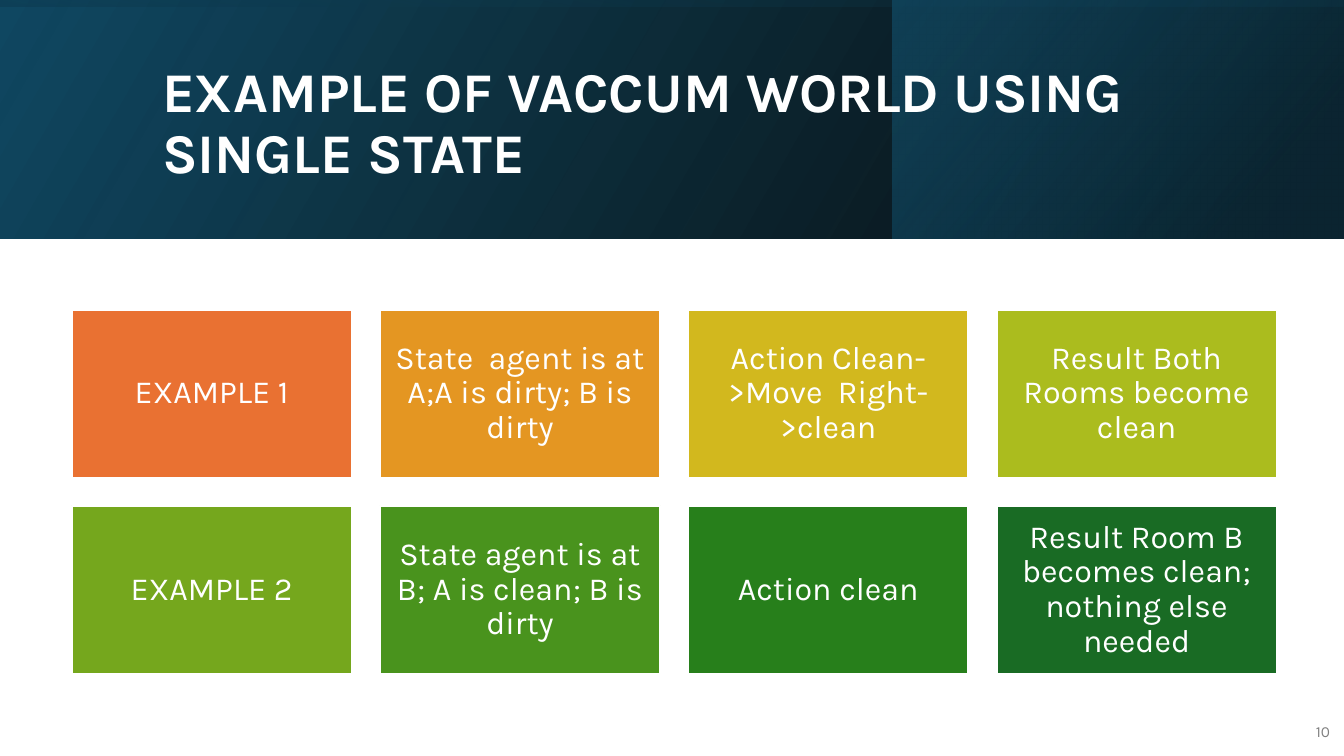
from lxml import etree
from pptx import Presentation
from pptx.dml.color import RGBColor
from pptx.enum.shapes import MSO_SHAPE
from pptx.enum.text import MSO_ANCHOR, PP_ALIGN
from pptx.oxml import parse_xml
from pptx.oxml.ns import nsdecls, qn
from pptx.util import Inches, Pt

RECTANGLE = MSO_SHAPE.RECTANGLE
MIDDLE = MSO_ANCHOR.MIDDLE
LEFT, CENTER, RIGHT = PP_ALIGN.LEFT, PP_ALIGN.CENTER, PP_ALIGN.RIGHT
WHITE = RGBColor(0xFF, 0xFF, 0xFF)
GRAY = RGBColor(0x80, 0x80, 0x80)
ORANGE = RGBColor(0xE9, 0x71, 0x32)
AMBER = RGBColor(0xE4, 0x96, 0x22)
YELLOW = RGBColor(0xD2, 0xB8, 0x1E)
LIME = RGBColor(0xAB, 0xBC, 0x1E)
OLIVE = RGBColor(0x75, 0xA7, 0x1D)
LEAF = RGBColor(0x49, 0x93, 0x1D)
GREEN = RGBColor(0x27, 0x7F, 0x1B)
FOREST = RGBColor(0x19, 0x6B, 0x24)
BLACK = RGBColor(0x00, 0x00, 0x00)
NAVY = RGBColor(0x10, 0x48, 0x62)
DEEP_NAVY = RGBColor(0x0B, 0x30, 0x41)
TEAL = RGBColor(0x15, 0x60, 0x82)

SLIDE_W, SLIDE_H = 13.33, 7.5
BANNER_H = 2.37
ACCENT_W = 4.48
CARD_W = 2.78
CARD_H = CARD_W * 0.6
GAP = CARD_W * 0.1
GRID_LEFT, GRID_TOP = 0.71, 3.07

prs = Presentation()
prs.slide_width, prs.slide_height = Inches(SLIDE_W), Inches(SLIDE_H)
slide = prs.slides.add_slide(prs.slide_layouts[6])


def add_box(left, top, width, height):
    box = slide.shapes.add_shape(
        RECTANGLE, Inches(left), Inches(top), Inches(width), Inches(height))
    box.shadow.inherit = False
    box.fill.background()
    box.line.fill.background()
    return box


def write(box, text, size, color, align, bold=False):
    frame = box.text_frame
    frame.word_wrap = True
    frame.vertical_anchor = MIDDLE
    frame.text = text
    paragraph = frame.paragraphs[0]
    paragraph.alignment = align
    font = paragraph.runs[0].font
    font.name, font.size, font.bold = "Karla", Pt(size), bold
    font.color.rgb = color
    return paragraph


banner_layers = [
    (0, 0, SLIDE_W, BANNER_H, 0, 330, [(0, BLACK, 96), (100, NAVY, 100)]),
    (SLIDE_W - ACCENT_W, 0, ACCENT_W, BANNER_H, 0, 320,
     [(19, DEEP_NAVY, 68), (100, TEAL, 48)]),
    ((SLIDE_W - BANNER_H) / 2, (BANNER_H - SLIDE_W) / 2, BANNER_H, SLIDE_W, 270, 350,
     [(23, NAVY, 16), (99, BLACK, 45)]),
]
for left, top, width, height, rotation, angle, stops in banner_layers:
    layer = add_box(left, top, width, height)
    layer.rotation = rotation
    properties = layer._element.spPr
    properties.find(qn("a:xfrm")).set("flipH", "1")
    gradient = parse_xml(f'<a:gradFill {nsdecls("a")} rotWithShape="1"><a:gsLst/></a:gradFill>')
    for position, color, opacity in stops:
        stop = etree.SubElement(gradient[0], qn("a:gs"), pos=str(position * 1000))
        tint = etree.SubElement(stop, qn("a:srgbClr"), val=str(color))
        etree.SubElement(tint, qn("a:alpha"), val=str(opacity * 1000))
    etree.SubElement(gradient, qn("a:lin"), ang=str(angle * 60000), scaled="0")
    properties.replace(properties.find(qn("a:noFill")), gradient)

title = slide.shapes.add_textbox(Inches(1.51), Inches(0.38), Inches(10.63), Inches(1.72))
heading = write(title, "EXAMPLE OF VACCUM WORLD USING SINGLE STATE", 40, WHITE, LEFT, True)
heading.line_spacing = 0.9

number = slide.shapes.add_textbox(Inches(12.8), Inches(7.06), Inches(0.49), Inches(0.4))
write(number, "10", 11, GRAY, RIGHT).space_after = Pt(6)

examples = [
    [("EXAMPLE 1", ORANGE),
     ("State  agent is at A;A is dirty; B is dirty", AMBER),
     ("Action Clean->Move  Right->clean", YELLOW),
     ("Result Both Rooms become clean", LIME)],
    [("EXAMPLE 2", OLIVE),
     ("State agent is at B; A is clean; B is dirty", LEAF),
     ("Action clean", GREEN),
     ("Result Room B becomes clean; nothing else needed", FOREST)],
]
for row, steps in enumerate(examples):
    for column, (text, color) in enumerate(steps):
        card = add_box(GRID_LEFT + column * (CARD_W + GAP),
                       GRID_TOP + row * (CARD_H + GAP), CARD_W, CARD_H)
        card.fill.solid()
        card.fill.fore_color.rgb = color
        card.line.color.rgb = WHITE
        card.line.width = Pt(1.5)
        frame = card.text_frame
        frame.margin_left = frame.margin_right = Inches(0.1)
        frame.margin_top = frame.margin_bottom = Inches(0.1)
        write(card, text, 23, WHITE, CENTER).line_spacing = 0.9

prs.save("out.pptx")
